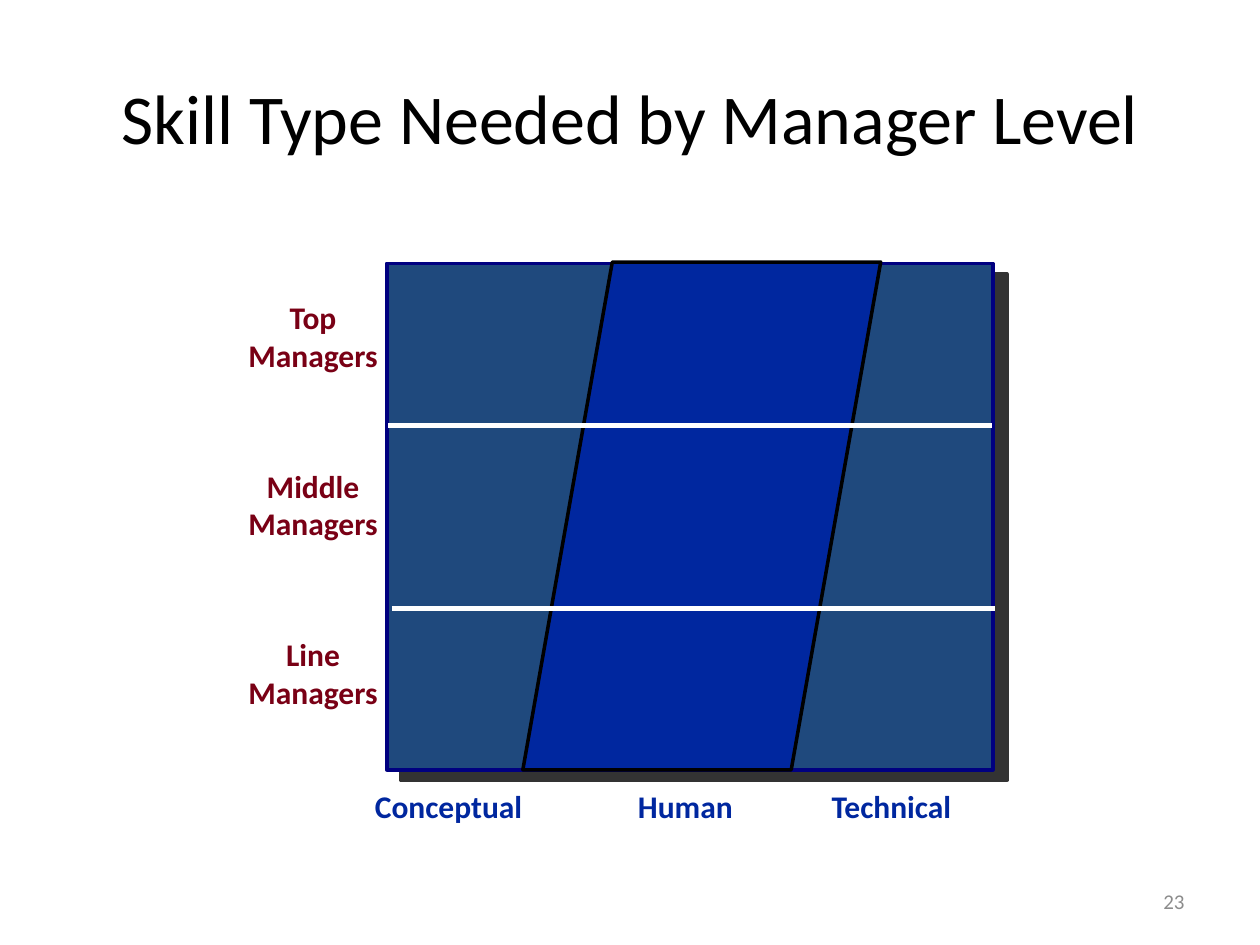
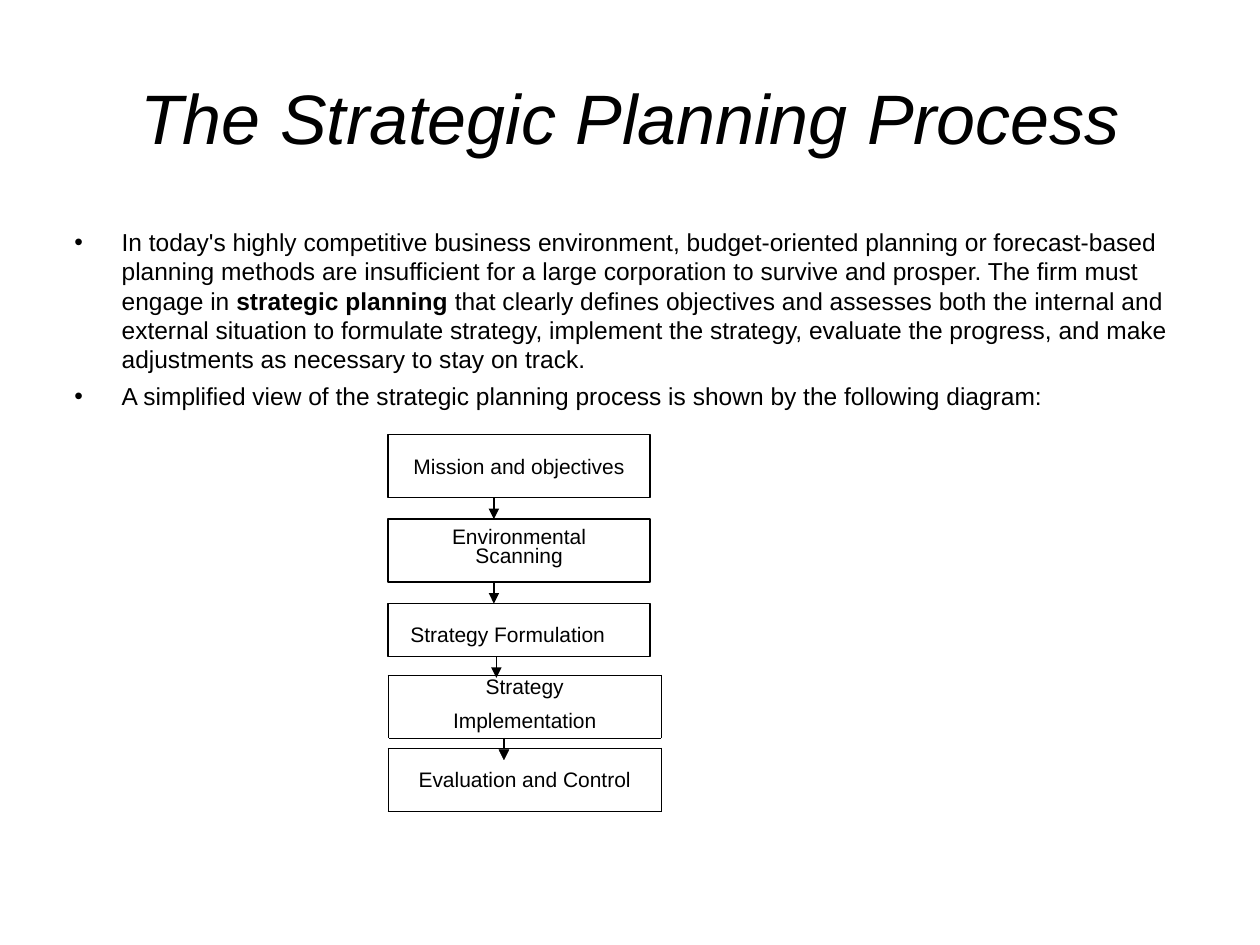
import dataclasses

import lxml.etree
import pptx
import pptx.dml.color
import pptx.enum.shapes
import pptx.enum.text
import pptx.oxml.ns
import pptx.util

SHAPE = pptx.enum.shapes.MSO_SHAPE
ALIGN = pptx.enum.text.PP_ALIGN
ANCHOR = pptx.enum.text.MSO_ANCHOR
qn = pptx.oxml.ns.qn
Pt = pptx.util.Pt
COLS, ROWS = 100, 75
WIDE, HIGH = pptx.util.Inches(10), pptx.util.Inches(7.5)


@dataclasses.dataclass(frozen=True)
class Theme:
    black: str = "000000"
    white: str = "FFFFFF"
    gray: str = "8C8C8C"
    shade: str = "333333"
    steel: str = "1F497D"
    navy: str = "000080"
    blue: str = "00279F"
    red: str = "790015"
    sans: str = "Calibri"
    plain: str = "Arial"
    head: float = 40
    label: float = 18
    body: float = 14
    small: float = 12
    thin: float = 0.75
    edge: float = 2
    rule: float = 3


THEME = Theme()


@dataclasses.dataclass(frozen=True)
class Box:
    x: float
    y: float
    w: float
    h: float

    def inner(self, x, y, w, h):
        return Box(self.x + x, self.y + y, w, h)

    def emu(self):
        return (round(self.x * WIDE / COLS), round(self.y * HIGH / ROWS),
                round(self.w * WIDE / COLS), round(self.h * HIGH / ROWS))


def tint(code):
    return pptx.dml.color.RGBColor.from_string(code)


def node(parent, tag, **attrs):
    return lxml.etree.SubElement(parent, qn(tag), attrs)


def write(para, text, size, font, color=THEME.black, bold=False, slant=False):
    run = para.add_run()
    run.text = text
    run.font.size, run.font.name = Pt(size), font
    run.font.bold, run.font.italic = bold, slant
    run.font.color.rgb = tint(color)


def inset(frame, left=0, top=0, right=0, low=0):
    frame.margin_left, frame.margin_top = pptx.util.Inches(left), pptx.util.Inches(top)
    frame.margin_right, frame.margin_bottom = pptx.util.Inches(right), pptx.util.Inches(low)


def place(item, box):
    item.left, item.top, item.width, item.height = box.emu()
    item.text_frame.auto_size = pptx.enum.text.MSO_AUTO_SIZE.NONE
    return item.text_frame


def title(slide, box, text, font, slant=False):
    frame = place(slide.shapes.title, box)
    frame.vertical_anchor = ANCHOR.MIDDLE
    inset(frame)
    para = frame.paragraphs[0]
    para.alignment = ALIGN.CENTER
    write(para, text, THEME.head, font, slant=slant)


def label(slide, box, lines, color):
    frame = slide.shapes.add_textbox(*box.emu()).text_frame
    frame.word_wrap = False
    for i, line in enumerate(lines):
        para = frame.add_paragraph() if i else frame.paragraphs[0]
        para.alignment = ALIGN.CENTER
        write(para, line, THEME.label, THEME.sans, color, bold=True)


def number(slide, box, text):
    frame = slide.shapes.add_textbox(*box.emu()).text_frame
    frame.word_wrap, frame.vertical_anchor = True, ANCHOR.MIDDLE
    frame.paragraphs[0].alignment = ALIGN.RIGHT
    write(frame.paragraphs[0], text, THEME.small, THEME.sans, THEME.gray)


def block(slide, kind, box, fill, color, width):
    shape = slide.shapes.add_shape(kind, *box.emu())
    shape.shadow.inherit = False
    if fill:
        shape.fill.solid()
        shape.fill.fore_color.rgb = tint(fill)
    else:
        shape.fill.background()
    shape.line.color.rgb = tint(color)
    shape.line.width = Pt(width)
    return shape


def stroke(slide, box, color, width):
    x, y, w, h = box.emu()
    line = slide.shapes.add_connector(
        pptx.enum.shapes.MSO_CONNECTOR.STRAIGHT, x, y, x + w, y + h)
    line.line.color.rgb = tint(color)
    line.line.width = Pt(width)
    node(line._element.spPr, "a:effectLst")
    return line


def arrow(slide, box):
    line = stroke(slide, box, THEME.black, THEME.thin)
    node(line._element.spPr.find(qn("a:ln")), "a:tailEnd", type="triangle")


def shadow(shape):
    effects = shape._element.spPr.find(qn("a:effectLst"))
    cast = node(effects, "a:outerShdw", dist=str(Pt(10)), dir=str(37 * 60000),
                algn="ctr", rotWithShape="0")
    node(cast, "a:srgbClr", val=THEME.shade)


def matrix(slide, box):
    shadow(block(slide, SHAPE.RECTANGLE, box, THEME.steel, THEME.navy, THEME.edge))
    block(slide, SHAPE.PARALLELOGRAM, box.inner(10.8, -0.1, 28.4, 40.3),
          THEME.blue, THEME.black, THEME.edge)
    for x, y in ((0.1, 12.9), (0.4, 27.4)):
        stroke(slide, box.inner(x, y, 47.9, 0), THEME.white, THEME.rule)
    for i, level in enumerate(("Top", "Middle", "Line")):
        label(slide, box.inner(-12, 2.3 + 13.35 * i, 12.3, 7),
              (level, "Managers"), THEME.red)
    for skill, x, w in (("Conceptual", -2, 13.8), ("Human", 18.9, 9.6),
                        ("Technical", 34.3, 11.5)):
        label(slide, box.inner(x, 41.1, w, 4), (skill,), THEME.blue)


def bullets(slide, box, items):
    frame = place(slide.placeholders[1], box)
    inset(frame, top=0.01)
    for i, runs in enumerate(items):
        para = frame.add_paragraph() if i else frame.paragraphs[0]
        para.space_before = Pt(4 if i else 1)
        for text, bold in runs:
            write(para, text, THEME.body, THEME.plain, bold=bold)


def step(slide, box, lines, top, right=0):
    frame = block(slide, SHAPE.RECTANGLE, box, None, THEME.black, THEME.thin).text_frame
    frame.vertical_anchor = ANCHOR.TOP
    inset(frame, top=top, right=right)
    para = frame.paragraphs[0]
    para.alignment = ALIGN.CENTER
    for i, line in enumerate(lines):
        if i:
            para.add_line_break()
            para.line_spacing = 0.75
        write(para, line, THEME.small, THEME.plain)


def border(cell, sides):
    props = cell._tc.get_or_add_tcPr()
    for i, side in enumerate(sides):
        line = node(props, "a:ln" + side, w=str(Pt(THEME.thin)))
        node(node(line, "a:solidFill"), "a:srgbClr", val=THEME.black)
        props.insert(i, line)


def grid(slide, box):
    table = slide.shapes.add_table(3, 2, *box.emu()).table
    table.first_row = table.horz_banding = False
    for col, w in zip(table.columns, (0.92, 1.25)):
        col.width = pptx.util.Inches(w)
    for row, h in zip(table.rows, (0.5, 0.08, 0.5)):
        row.height = pptx.util.Inches(h)
    for r in range(3):
        for c in range(2):
            cell = table.cell(r, c)
            inset(cell)
            cell.fill.background()
            border(cell, "LRTB" if r != 1 else ("RTB", "LTB")[c])
            node(cell.text_frame.paragraphs[0]._p, "a:endParaRPr", sz="100")
    for r, lines in ((0, ("Strategy", "Implementation")), (2, ("Evaluation and Control",))):
        cell = table.cell(r, 0)
        cell.merge(table.cell(r, 1))
        cell.vertical_anchor = ANCHOR.TOP if r == 0 else ANCHOR.MIDDLE
        for i, line in enumerate(lines):
            para = cell.text_frame.add_paragraph() if i else cell.text_frame.paragraphs[0]
            para.alignment = ALIGN.CENTER
            para.space_before = Pt(6 * i)
            write(para, line, THEME.small, THEME.plain)


def flow(slide, box):
    steps = ((("Mission and objectives",), 5, 0.15, 0),
             (("Environmental", "Scanning"), 5, 0.08, 0),
             (("Strategy Formulation",), 4.2, 0.14, 0.18))
    gap, y = 1.7, 0
    grid(slide, box.inner(0, 19.1, 21.7, 10.8))
    for i, (lines, h, top, right) in enumerate(steps):
        step(slide, box.inner(0, y, 20.8, h), lines, top, right)
        y += h
        arrow(slide, box.inner(8.6 if i == 2 else 8.4, y, 0, gap))
        y += gap
    block(slide, SHAPE.FLOWCHART_MERGE, box.inner(8.8, 25, 0.8, 0.8),
          THEME.black, THEME.black, 0.25)


def skills(deck):
    slide = deck.slides.add_slide(deck.slide_layouts[5])
    title(slide, Box(5, 3, 90, 12.5), "Skill Type Needed by Manager Level", THEME.sans)
    number(slide, Box(71.7, 69.5, 23.3, 4), "23")
    matrix(slide, Box(30.7, 20.9, 48.1, 40.2))


def process(deck):
    slide = deck.slides.add_slide(deck.slide_layouts[1])
    title(slide, Box(8.2, 5.8, 83.6, 6.9), "The Strategic Planning Process",
          THEME.plain, slant=True)
    bullets(slide, Box(5.9, 17.9, 87.7, 14.8), (
        (("In today's highly competitive business environment, budget-oriented planning "
          "or forecast-based planning methods are insufficient for a large corporation "
          "to survive and prosper. The firm must engage in ", False),
         ("strategic planning", True),
         (" that clearly defines objectives and assesses both the internal and external "
          "situation to formulate strategy, implement the strategy, evaluate the progress, "
          "and make adjustments as necessary to stay on track.", False)),
        (("A simplified view of the strategic planning process is shown by the "
          "following diagram:", False),)))
    flow(slide, Box(30.8, 34.5, 21.7, 29.9))


def main():
    deck = pptx.Presentation()
    deck.slide_width, deck.slide_height = WIDE, HIGH
    skills(deck)
    process(deck)
    deck.save("out.pptx")


if __name__ == "__main__":
    main()
